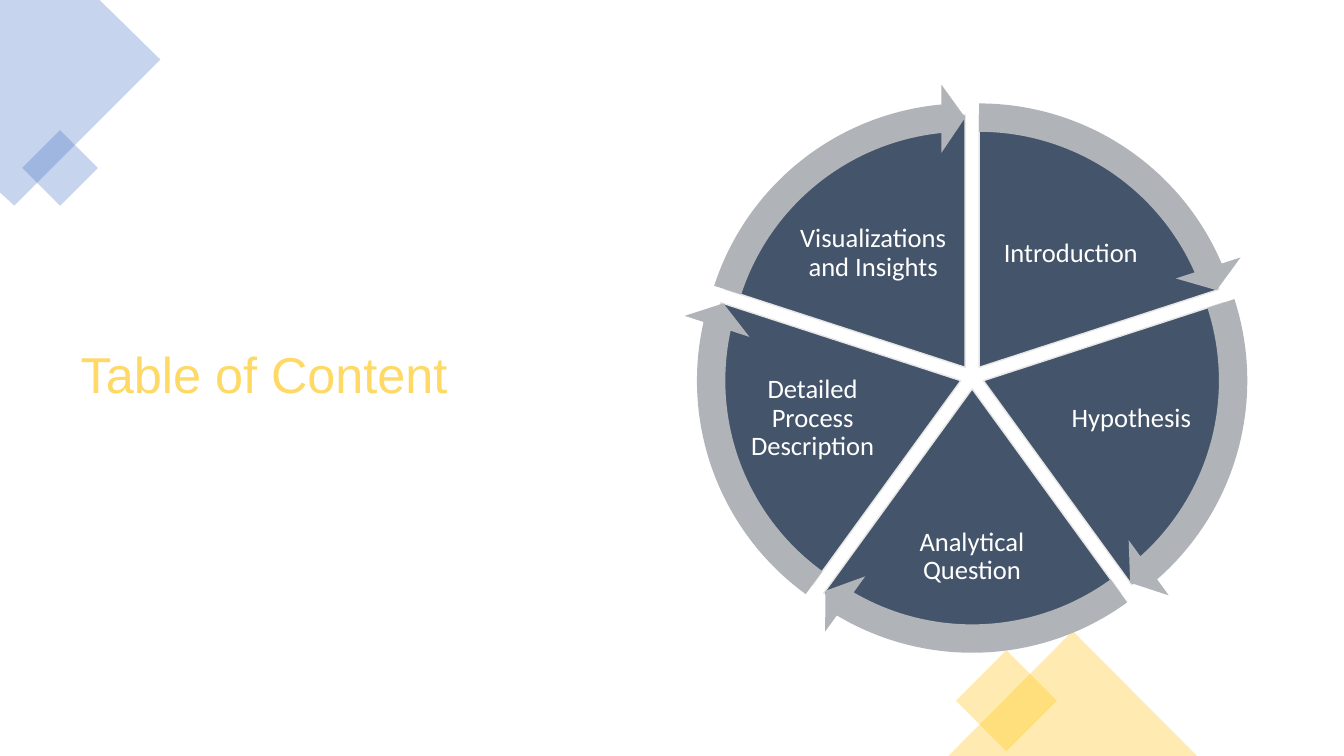
"""Build the table of content slide with a five-part cycle wheel."""
from math import cos, radians, sin

from lxml.etree import SubElement
from pptx import Presentation
from pptx.dml.color import RGBColor
from pptx.enum.shapes import MSO_SHAPE
from pptx.enum.text import MSO_ANCHOR, PP_ALIGN
from pptx.oxml.ns import qn
from pptx.util import Cm, Pt


def paint(shape, color, opacity=100):
    """Give a shape a flat fill without line or shadow."""
    shape.shadow.inherit = False
    shape.line.fill.background()
    shape.fill.solid()
    shape.fill.fore_color.rgb = RGBColor.from_string(color)
    if opacity < 100:
        tint = shape.fill._xPr.find(".//" + qn("a:srgbClr"))
        SubElement(tint, qn("a:alpha"), val=str(opacity * 1000))


def write(frame, text, font_name, size, color, alignment):
    """Fill a text frame with one vertically centred paragraph."""
    frame.word_wrap = True
    frame.vertical_anchor = MSO_ANCHOR.MIDDLE
    frame.text = text
    para = frame.paragraphs[0]
    para.alignment = alignment
    para.line_spacing = 0.9
    para.font.name = font_name
    para.font.size = Pt(size)
    para.font.color.rgb = RGBColor.from_string(color)


deck = Presentation()
deck.slide_width, deck.slide_height = Cm(33.87), Cm(19.05)
page = deck.slides.add_slide(deck.slide_layouts[5])
shapes = page.shapes

title = shapes.title
title.left, title.top, title.width, title.height = Cm(1.78), Cm(1.78), Cm(13.34), Cm(15.47)
write(title.text_frame, "Table of Content", "Arial", 36, "FFD966", PP_ALIGN.LEFT)

corner_points = [(2.51, 0), (4.04, 1.5), (0.36, 5.18), (0, 4.85)]
builder = shapes.build_freeform(0, 0)
builder.add_line_segments([(Cm(x), Cm(y)) for x, y in corner_points])
paint(builder.convert_to_shape(), "4472C4", 30)

for left, top, side, color in [(0.84, 3.56, 1.35, "4472C4"), (24.46, 16.76, 1.8, "FFC000")]:
    diamond = shapes.add_shape(MSO_SHAPE.RECTANGLE, Cm(left), Cm(top), Cm(side), Cm(side))
    diamond.rotation = 45
    paint(diamond, color, 30)

triangle = shapes.add_shape(
    MSO_SHAPE.ISOSCELES_TRIANGLE, Cm(23.9), Cm(15.9), Cm(6.27), Cm(3.15))
paint(triangle, "FFC000", 30)

center_x, center_y, gap = 24.5, 9.5, 0.3
pie_size, arrow_size = 12.72, 14.3
full_turn = 216
sector = full_turn / 5
topics = [
    ("Introduction", 24.94, 5.03, 4.09, 2.72),
    ("Hypothesis", 26.62, 9.04, 3.78, 3.02),
    ("Analytical Question", 22.68, 12.37, 3.63, 3.33),
    ("Detailed Process Description", 18.59, 9.04, 3.78, 3.02),
    ("Visualizations and Insights", 19.96, 5.03, 4.09, 2.72),
]

wheel = []
for index in range(len(topics)):
    middle = radians(-54 + 72 * index)
    start = (162 + sector * index) % full_turn
    wheel.append((center_x + gap * cos(middle), center_y + gap * sin(middle), start))

for (x, y, start), (topic, left, top, width, height) in zip(wheel, topics):
    pie = shapes.add_shape(MSO_SHAPE.PIE, Cm(x - pie_size / 2), Cm(y - pie_size / 2),
                           Cm(pie_size), Cm(pie_size))
    pie.adjustments[0] = start
    pie.adjustments[1] = (start + sector) % full_turn
    paint(pie, "44546A")
    pie.line.color.rgb = RGBColor.from_string("E7E6E6")
    pie.line.width = Pt(1)

    box = shapes.add_textbox(Cm(left), Cm(top), Cm(width), Cm(height))
    frame = box.text_frame
    frame.margin_left = frame.margin_right = Cm(0.07)
    frame.margin_top = frame.margin_bottom = Cm(0.07)
    write(frame, topic, "Calibri", 19, "FFFFFF", PP_ALIGN.CENTER)

for x, y, start in wheel:
    arrow = shapes.add_shape(MSO_SHAPE.CIRCULAR_ARROW, Cm(x - arrow_size / 2),
                             Cm(y - arrow_size / 2), Cm(arrow_size), Cm(arrow_size))
    settings = [0.05, 3.28, (start + 39.93) % full_turn, start, 0.06]
    for position, value in enumerate(settings):
        arrow.adjustments[position] = value
    paint(arrow, "B0B4B9")

deck.save("out.pptx")
